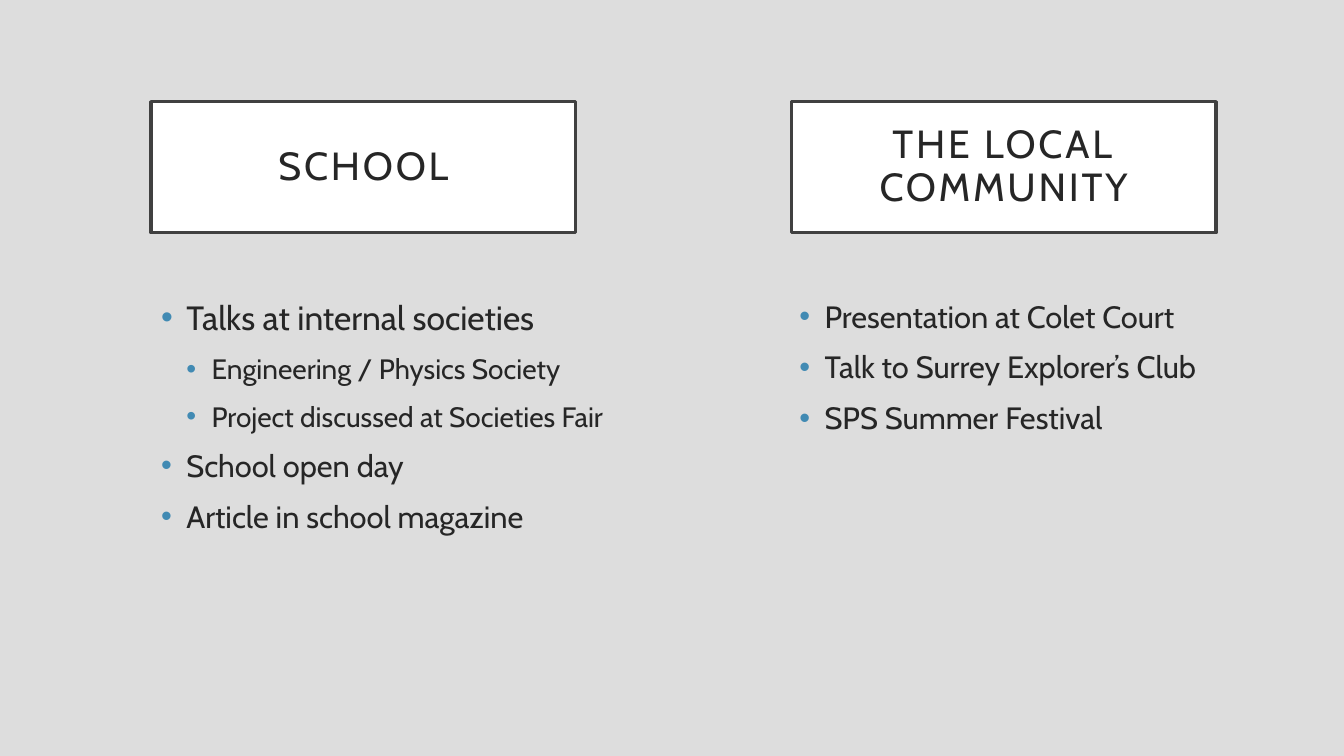
from lxml import etree
from pptx import Presentation
from pptx.dml.color import RGBColor
from pptx.enum.shapes import MSO_SHAPE
from pptx.enum.text import MSO_ANCHOR, PP_ALIGN
from pptx.oxml.ns import qn
from pptx.util import Inches, Pt

COLORS = {
    "background": "DDDDDD",
    "panel": "FFFFFF",
    "border": "404040",
    "text": "262626",
    "bullet": "418AB3",
}
FONT = "Cabin"
INDENT = 0.25
HEADING_FRAME = {
    "word_wrap": True,
    "vertical_anchor": MSO_ANCHOR.MIDDLE,
    "margin_left": Inches(0.2),
    "margin_right": Inches(0.2),
    "margin_top": Inches(0.2),
    "margin_bottom": Inches(0.2),
}
HEADING_PARAGRAPH = {"alignment": PP_ALIGN.CENTER, "line_spacing": 0.9}

COLUMNS = [
    {
        "heading": "SCHOOL",
        "heading_box": (1.5, 1.01, 4.21, 1.3),
        "activities_box": (1.5, 2.9, 4.86, 2.73),
        "activities": [
            ("Talks at internal societies", 0, 24),
            ("Engineering / Physics Society", 1, 20),
            ("Project discussed at Societies Fair", 1, 20),
            ("School open day", 0, 22),
            ("Article in school magazine", 0, 22),
        ],
    },
    {
        "heading": "THE LOCAL COMMUNITY",
        "heading_box": (7.85, 1.01, 4.21, 1.3),
        "activities_box": (7.83, 2.9, 4.67, 1.5),
        "activities": [
            ("Presentation at Colet Court", 0, 22),
            ("Talk to Surrey Explorer’s Club", 0, 22),
            ("SPS Summer Festival", 0, 22),
        ],
    },
]


def color(name):
    return RGBColor.from_string(COLORS[name])


def apply(target, values):
    for attribute, value in values.items():
        setattr(target, attribute, value)


def add_text(paragraph, text, size):
    run = paragraph.add_run()
    run.text = text
    apply(run.font, {"name": FONT, "size": Pt(size)})
    run.font.color.rgb = color("text")
    return run


def add_bullet(paragraph, level):
    properties = paragraph._p.get_or_add_pPr()
    properties.set("marL", str(Inches(INDENT * (level + 1))))
    properties.set("indent", str(Inches(-INDENT)))
    bullet_color = etree.SubElement(properties, qn("a:buClr"))
    etree.SubElement(bullet_color, qn("a:srgbClr"), val=COLORS["bullet"])
    etree.SubElement(properties, qn("a:buFont"), typeface="Arial")
    etree.SubElement(properties, qn("a:buChar"), char="•")


def add_heading(slide, box, text):
    panel = slide.shapes.add_shape(MSO_SHAPE.RECTANGLE, *map(Inches, box))
    panel.shadow.inherit = False
    panel.fill.solid()
    panel.fill.fore_color.rgb = color("panel")
    panel.line.color.rgb = color("border")
    panel.line.width = Pt(2.5)
    apply(panel.text_frame, HEADING_FRAME)
    paragraph = panel.text_frame.paragraphs[0]
    apply(paragraph, HEADING_PARAGRAPH)
    run = add_text(paragraph, text, 28)
    run._r.get_or_add_rPr().set("spc", "200")


def add_activities(slide, box, activities):
    frame = slide.shapes.add_textbox(*map(Inches, box)).text_frame
    frame.word_wrap = True
    for index, (text, level, size) in enumerate(activities):
        paragraph = frame.add_paragraph() if index else frame.paragraphs[0]
        add_bullet(paragraph, level)
        apply(paragraph, {"level": level, "space_before": Pt(10 if index else 0)})
        add_text(paragraph, text, size)


def add_column(slide, column):
    add_heading(slide, column["heading_box"], column["heading"])
    add_activities(slide, column["activities_box"], column["activities"])


def main():
    presentation = Presentation()
    presentation.slide_width = Inches(13.33)
    presentation.slide_height = Inches(7.5)
    slide = presentation.slides.add_slide(presentation.slide_layouts[6])
    slide.background.fill.solid()
    slide.background.fill.fore_color.rgb = color("background")
    for column in COLUMNS:
        add_column(slide, column)
    presentation.save("out.pptx")


if __name__ == "__main__":
    main()
